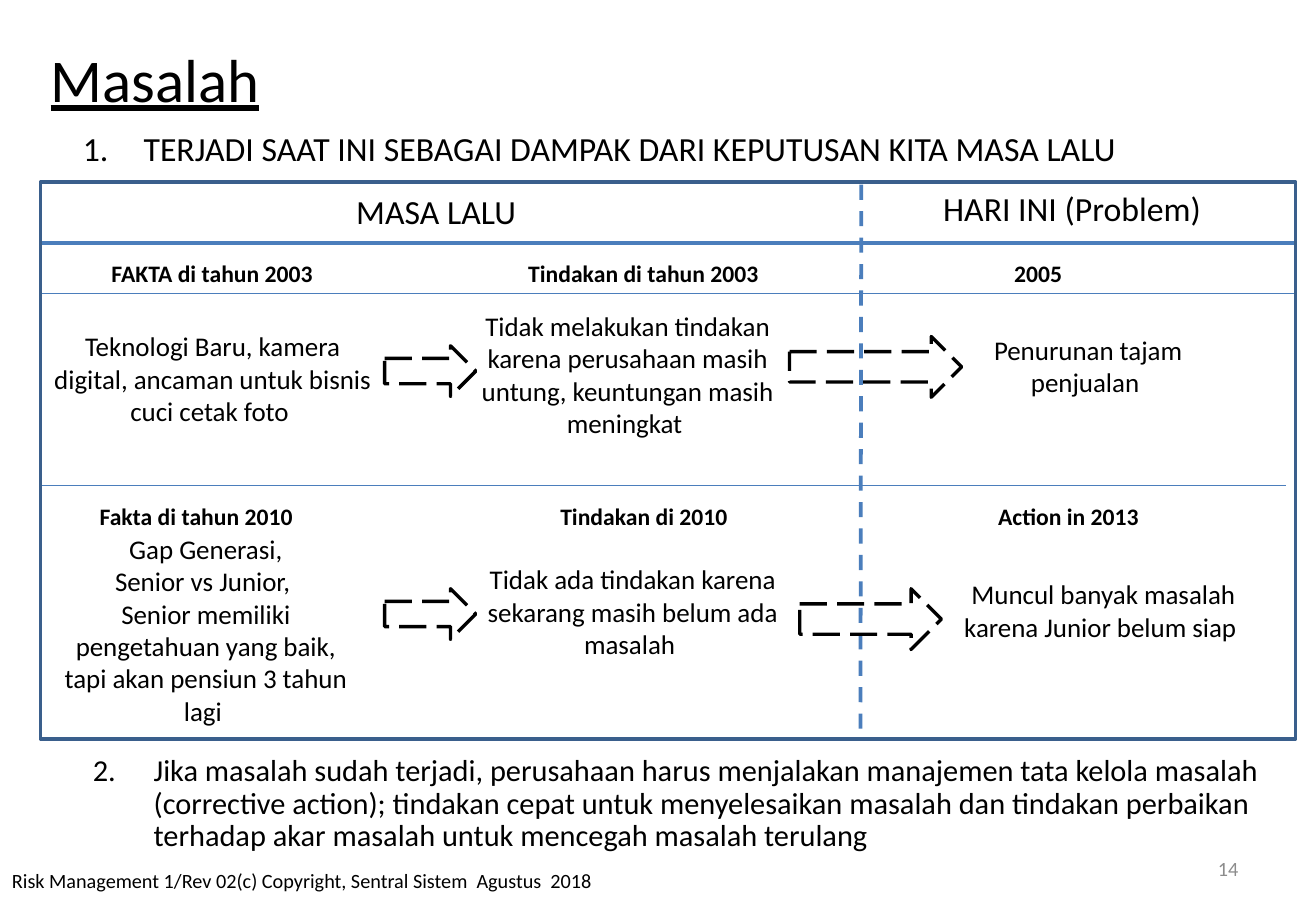
from pptx import Presentation
from pptx.dml.color import RGBColor
from pptx.enum.dml import MSO_LINE
from pptx.enum.shapes import MSO_CONNECTOR, MSO_SHAPE
from pptx.enum.text import MSO_ANCHOR, PP_ALIGN
from pptx.oxml.ns import qn
from pptx.util import Pt
from lxml import etree

RECT, ARROW = MSO_SHAPE.RECTANGLE, MSO_SHAPE.RIGHT_ARROW
STRAIGHT = MSO_CONNECTOR.STRAIGHT
DASH, LONG = MSO_LINE.DASH, MSO_LINE.LONG_DASH
MIDDLE, TOP = MSO_ANCHOR.MIDDLE, MSO_ANCHOR.TOP
LEFT, CENTER, RIGHT = PP_ALIGN.LEFT, PP_ALIGN.CENTER, PP_ALIGN.RIGHT

COLORS = {"text": "000000", "page": "8C8C8C", "rule": "4B7EBC", "frame": "3A5F8C"}

STYLES = {
    "title": {"size": Pt(36), "underline": True},
    "point": {"size": Pt(20)},
    "note": {"size": Pt(18)},
    "label": {"size": Pt(14), "bold": True},
    "body": {"size": Pt(16)},
    "small": {"size": Pt(12)},
}

# left, top, width, text
HEADS = [
    (204, 109.5, 110, "MASA LALU"),
    (552, 108, 168.5, "HARI INI (Problem)"),
]
LABELS = [
    (59, 150, 134.5, "FAKTA di tahun 2003"),
    (306, 150, 158.5, "Tindakan di tahun 2003"),
    (594, 150, 43, "2005"),
    (52, 294, 133, "Fakta di tahun 2010"),
    (325, 294, 117.5, "Tindakan di 2010"),
    (584.5, 294, 98.5, "Action in 2013"),
]
# left, top, width, height, text
CELLS = [
    (24, 192, 204, 66,
     "Teknologi Baru, kamera digital, ancaman untuk bisnis cuci cetak foto "),
    (276, 180, 192, 85,
     "Tidak melakukan tindakan karena perusahaan masih untung, "
     "keuntungan masih meningkat "),
    (558, 194, 174, 46, "Penurunan tajam penjualan "),
    (30, 312, 184, 124,
     "Gap Generasi,\nSenior vs Junior, \n"
     "Senior memiliki pengetahuan yang baik, tapi akan pensiun 3 tahun lagi "),
    (279, 330, 192, 66,
     "Tidak ada tindakan karena sekarang masih belum ada masalah "),
    (558, 339, 192, 46, "Muncul banyak masalah karena Junior belum siap "),
]
ARROWS = [
    (228, 205, 54, 30), (468, 199.5, 102, 36),
    (228, 349, 54, 30), (474, 349, 84, 36),
]
# left, top, right, bottom, weight, dash
RULES = [
    (510.5, 109.5, 510, 438, 2.25, DASH),
    (24, 144, 768, 144, 2.25, None),
    (24, 174, 768, 174, 0.75, None),
    (24, 288, 762, 288, 0.75, None),
]


def color(name):
    return RGBColor.from_string(COLORS[name])


def add_text(slide, box, text, style, align=LEFT, anchor=TOP, wrap=True, ink="text"):
    frame = slide.shapes.add_textbox(*map(Pt, box)).text_frame
    frame.word_wrap = wrap
    frame.vertical_anchor = anchor
    for i, line in enumerate(text.split("\n")):
        para = frame.add_paragraph() if i else frame.paragraphs[0]
        para.alignment = align
        run = para.add_run()
        run.text = line
        run.font.name = "Calibri"
        run.font.color.rgb = color(ink)
        for key, value in STYLES[style].items():
            setattr(run.font, key, value)
    return frame.paragraphs[0]


def add_title(slide):
    """Underline the heading as far as a tab stop beyond its last letter."""
    para = add_text(slide, (23, -6, 672, 104.5), "Masalah\t", "title", anchor=MIDDLE)
    tabs = etree.SubElement(para._p.get_or_add_pPr(), qn("a:tabLst"))
    etree.SubElement(tabs, qn("a:tab"), pos=str(Pt(156)), algn="l")


def add_point(slide, box, number, text, style):
    para = add_text(slide, box, text, style)
    props = para._p.get_or_add_pPr()
    props.set("marL", str(Pt(36)))
    props.set("indent", str(-Pt(36)))
    etree.SubElement(props, qn("a:buFont"), typeface="Calibri")
    etree.SubElement(props, qn("a:buAutoNum"), type="arabicPeriod", startAt=str(number))
    return para


def add_outline(slide, kind, box, ink, dash=None):
    shape = slide.shapes.add_shape(kind, *map(Pt, box))
    shape.shadow.inherit = False
    shape.fill.background()
    shape.line.color.rgb = color(ink)
    shape.line.width = Pt(2)
    if dash:
        shape.line.dash_style = dash


def add_rule(slide, ends, weight, dash):
    rule = slide.shapes.add_connector(STRAIGHT, *map(Pt, ends))
    rule.line.color.rgb = color("rule")
    rule.line.width = Pt(weight)
    if dash:
        rule.line.dash_style = dash
    etree.SubElement(rule._element.spPr, qn("a:effectLst"))


def main():
    deck = Presentation()
    deck.slide_width, deck.slide_height = Pt(780), Pt(540)
    slide = deck.slides.add_slide(deck.slide_layouts[6])

    add_title(slide)
    add_point(slide, (42, 72, 672, 48), 1,
              "TERJADI SAAT INI SEBAGAI DAMPAK DARI KEPUTUSAN KITA MASA LALU", "point")

    for *ends, weight, dash in RULES:
        add_rule(slide, ends, weight, dash)
    add_outline(slide, RECT, (24, 108, 744, 330), "frame")
    for left, top, width, text in HEADS:
        add_text(slide, (left, top, width, 31.5), text, "point", wrap=False)
    for left, top, width, text in LABELS:
        add_text(slide, (left, top, width, 24.5), text, "label", wrap=False)
    for *box, text in CELLS:
        add_text(slide, box, text, "body", CENTER)
    for box in ARROWS:
        add_outline(slide, ARROW, box, "text", LONG)

    note = add_point(
        slide, (48, 444, 706, 48), 2,
        "Jika masalah sudah terjadi, perusahaan harus menjalakan manajemen tata kelola "
        "masalah (corrective action); tindakan cepat untuk menyelesaikan masalah dan "
        "tindakan perbaikan terhadap akar masalah untuk mencegah masalah terulang", "note")
    note.line_spacing = 0.9

    add_text(slide, (0, 511, 462, 29),
             "Risk Management 1/Rev 02(c) Copyright, Sentral Sistem  Agustus  2018", "small")
    add_text(slide, (559, 500.5, 182, 29), "14", "small", RIGHT, MIDDLE, ink="page")
    deck.save("out.pptx")


if __name__ == "__main__":
    main()
